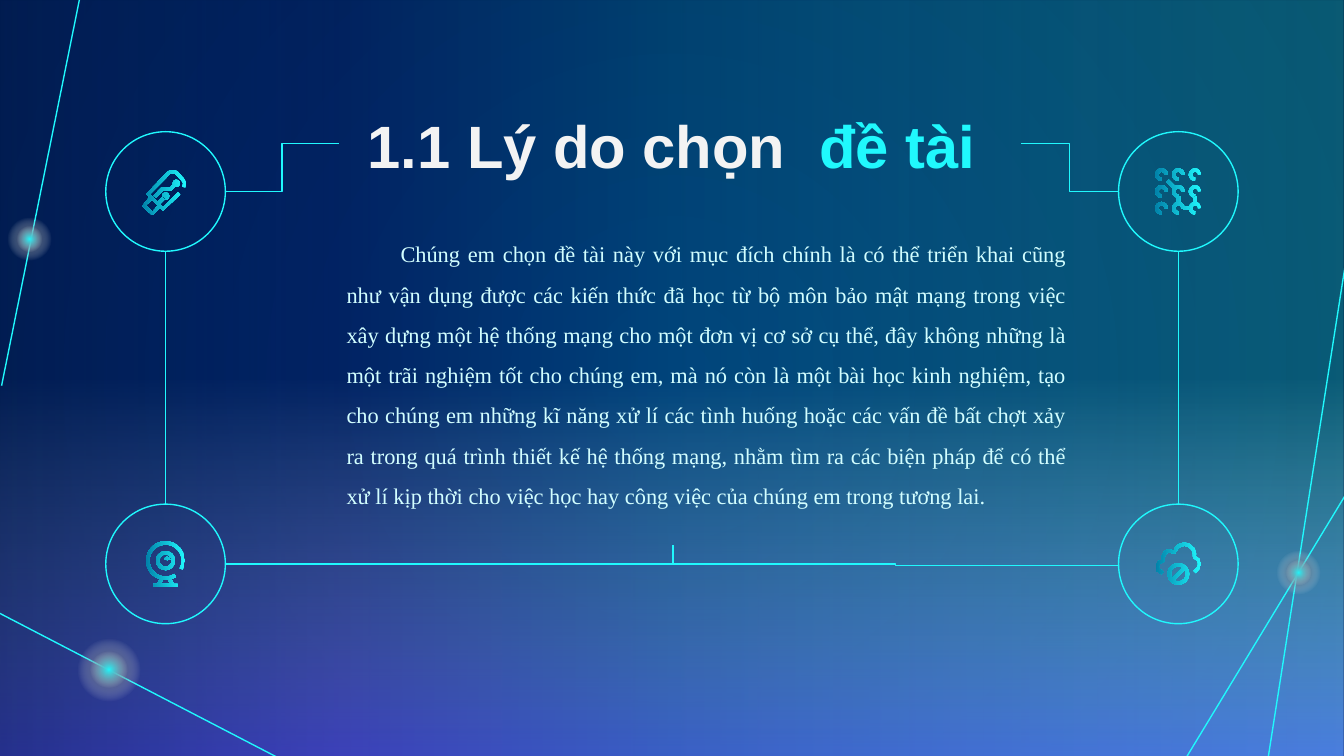
import math
from dataclasses import dataclass

import pptx
import pptx.dml.color
import pptx.enum.shapes
import pptx.enum.text
import pptx.oxml
import pptx.oxml.ns
import pptx.util
from pptx.util import Cm

RGB = pptx.dml.color.RGBColor
CYAN = RGB(0x20, 0xF8, 0xFD)
TEAL = RGB(0x01, 0x82, 0xAA)
NAVY = RGB(0x01, 0x20, 0x60)
INK = RGB(0x00, 0x18, 0x3A)
BLUE = RGB(0x02, 0x2E, 0x88)
LILAC = RGB(0x74, 0x8B, 0xFF)
VIOLET = RGB(0x76, 0x59, 0xFF)
WHITE = RGB(0xF3, 0xF3, 0xF3)
PALE = RGB(0xD2, 0xFE, 0xFF)

FORM = pptx.enum.shapes.MSO_SHAPE
LINK = pptx.enum.shapes.MSO_CONNECTOR
ALIGN = pptx.enum.text.PP_ALIGN
WIDE, HIGH = 25.4, 14.29
LEFT, RIGHT, TOP, LOW = 3.13, 22.27, 3.62, 10.66
DISC = 1.13
UNIT = 0.0254  # icon grid step in cm
STROKE = 2.5  # icon stroke in grid steps
Points = list[tuple[float, float]]


@dataclass
class Stop:
    pos: int
    color: RGB
    alpha: int = 100


@dataclass
class Wire:
    start: tuple[float, float]
    end: tuple[float, float]
    kind: LINK = LINK.STRAIGHT
    preset: str = ""


@dataclass
class Glow:
    x: float
    y: float
    radius: float


@dataclass
class Icon:
    x: float
    y: float
    strokes: list[Points]


def arc(x: float, y: float, radius: float, first: int = 0, last: int = 360) -> Points:
    """Points along an arc, in degrees clockwise from the right."""
    turns = [math.radians(first + (last - first) * i / 24) for i in range(25)]
    return [(x + radius * math.cos(t), y + radius * math.sin(t)) for t in turns]


CLOUD = [
    [(-11.8, 6.6), (-15, 4.5), (-15.7, 2), (-14.5, -1), (-11.5, -2.3),
     (-11.3, -5.5), (-9.5, -8.8), (-7, -9.7), (-3, -8.8), (-1.5, -11.5),
     (1, -13.8), (4.5, -14.7), (8, -13.7), (11, -11), (12, -7.5), (12, -5),
     (15, -3), (15.8, 0), (15, 3), (12, 6)],
    arc(0, 7.5, 6.8), [(-4, 11.5), (4, 3.5)],
]
CAMERA = [
    arc(0, -2.5, 13.2, 57, 388), arc(0, -2.5, 5.8), arc(1.2, -3, 1, 180, 360),
    [(-9, 16), (9, 16)], [(-2.8, 11), (-5, 15)], [(2.8, 11), (5, 15)],
]
DRIVE = [
    [(13.5, -3.2), (14.3, -6), (13, -8.5), (8, -14), (5.5, -15), (2.5, -14),
     (-13, 2), (-2, 13), (10, 1.5)],
    [(-11, 5), (-16, 10.5), (-10, 16.5), (-4.5, 11)],
    [(-8, 4), (-2.5, -2), (4, -2), (6, -4)], arc(8, -6, 1.4),
    [(-5, 8.5), (-1, 4.5)], arc(0, 3.5, 1.4),
]
LOCK = [arc(x, y, 3.4, 90, 360) for y in (-12.5, 0, 12.5) for x in (-12.5, 0, 12.5)]
LOCK += [
    [(-8, -8), (-3, -3)], [(0, 3.5), (0, 8.5)],
    [(12.5, 3.5), (12.5, 8.5)], [(4, 12.5), (8.5, 12.5)],
]

RAYS = [
    Wire((5.31, 14.35), (-0.03, 11.58)),
    Wire((22.43, 14.3), (25.48, 9.27)),
    Wire((23.95, 14.43), (25.5, 4.52)),
    Wire((1.55, -0.25), (0.03, 7.29)),
]
GLOWS = [Glow(24.54, 10.82, 0.58), Glow(2.06, 12.66, 0.84), Glow(0.56, 4.52, 0.58)]
WIRES = [
    Wire((LEFT + DISC, TOP), (6.4, 2.71), LINK.ELBOW),
    Wire((RIGHT - DISC, TOP), (19.3, 2.71), LINK.ELBOW),
    Wire((LEFT + DISC, LOW), (12.72, 10.31), LINK.ELBOW, "bentConnector2"),
    Wire((RIGHT - DISC, 10.69), (12.7, LOW), LINK.ELBOW),
] + [Wire((x, TOP + DISC), (x, LOW - DISC)) for x in (LEFT, RIGHT)]
ICONS = [
    Icon(LEFT, TOP, DRIVE), Icon(RIGHT, TOP, LOCK),
    Icon(LEFT, LOW, CAMERA), Icon(RIGHT, LOW, CLOUD),
]
BODY = (
    "Chúng em chọn đề tài này với mục đích chính là có thể triển khai cũng như vận "
    "dụng được các kiến thức đã học từ bộ môn bảo mật mạng trong việc xây dựng một "
    "hệ thống mạng cho một đơn vị cơ sở cụ thể, đây không những là một trãi nghiệm "
    "tốt cho chúng em, mà nó còn là một bài học kinh nghiệm, tạo cho chúng em những "
    "kĩ năng xử lí các tình huống hoặc các vấn đề bất chợt xảy ra trong quá trình "
    "thiết kế hệ thống mạng, nhằm tìm ra các biện pháp để có thể xử lí kịp thời cho "
    "việc học hay công việc của chúng em trong tương lai."
)


def blend(owner, stops: list[Stop], angle: int | None = None) -> None:
    """Swap the solid fill under owner for a gradient, radial without an angle."""
    marks = "".join(
        f'<a:gs pos="{s.pos * 1000}"><a:srgbClr val="{s.color}">'
        f'<a:alpha val="{s.alpha * 1000}"/></a:srgbClr></a:gs>' for s in stops)
    if angle is None:
        course = ('<a:path path="circle"><a:fillToRect l="50000" t="50000" '
                  'r="50000" b="50000"/></a:path>')
    else:
        course = f'<a:lin ang="{angle * 60000}" scaled="0"/>'
    fill = pptx.oxml.parse_xml(
        f'<a:gradFill {pptx.oxml.ns.nsdecls("a")} rotWithShape="1">'
        f"<a:gsLst>{marks}</a:gsLst>{course}</a:gradFill>")
    solid = owner.find(pptx.oxml.ns.qn("a:solidFill"))
    owner.replace(solid, fill)


def paint(shape, stops: list[Stop], angle: int | None = None) -> None:
    shape.shadow.inherit = False
    shape.line.fill.background()
    shape.fill.solid()
    blend(shape.element.spPr, stops, angle)


def ring(slide, x: float, y: float, radius: float):
    return slide.shapes.add_shape(
        FORM.OVAL, Cm(x - radius), Cm(y - radius), Cm(2 * radius), Cm(2 * radius))


def draw_wire(slide, wire: Wire) -> None:
    link = slide.shapes.add_connector(wire.kind, *map(Cm, wire.start + wire.end))
    link.line.color.rgb = CYAN
    link.line.width = pptx.util.Pt(0.75)
    props = link.element.spPr
    props.append(pptx.oxml.parse_xml(f'<a:effectLst {pptx.oxml.ns.nsdecls("a")}/>'))
    if wire.preset:
        props.find(pptx.oxml.ns.qn("a:prstGeom")).set("prst", wire.preset)


def draw_glow(slide, glow: Glow) -> None:
    for color, scale in ((INK, 1), (CYAN, 0.59)):
        halo = ring(slide, glow.x, glow.y, glow.radius * scale)
        paint(halo, [Stop(0, color), Stop(50, WHITE, 0), Stop(100, WHITE, 0)])


def draw_disc(slide, x: float, y: float) -> None:
    disc = ring(slide, x, y, DISC)
    disc.shadow.inherit = False
    disc.fill.background()
    disc.line.color.rgb = CYAN
    disc.line.width = pptx.util.Pt(0.75)


def ribbon(points: Points) -> Points:
    """Outline of a stroke that follows the points."""
    sides = ([], [])
    for i, (x, y) in enumerate(points):
        back, ahead = points[max(i - 1, 0)], points[min(i + 1, len(points) - 1)]
        dx, dy = ahead[0] - back[0], ahead[1] - back[1]
        size = math.hypot(dx, dy) * 2 / STROKE
        sides[0].append((x - dy / size, y + dx / size))
        sides[1].append((x + dy / size, y - dx / size))
    return sides[0] + sides[1][::-1]


def draw_icon(slide, icon: Icon) -> None:
    pen = None
    for stroke in icon.strokes:
        spots = [(Cm(icon.x + x * UNIT), Cm(icon.y + y * UNIT)) for x, y in ribbon(stroke)]
        if pen is None:
            pen = slide.shapes.build_freeform(*spots[0])
        else:
            pen.move_to(*spots[0])
        pen.add_line_segments(spots[1:], close=True)
    paint(pen.convert_to_shape(), [Stop(0, CYAN), Stop(100, TEAL)], 180)


def add_box(slide, x: float, y: float, wide: float, high: float):
    frame = slide.shapes.add_textbox(Cm(x), Cm(y), Cm(wide), Cm(high)).text_frame
    frame.word_wrap = True
    frame.margin_left = frame.margin_right = Cm(0.25)
    frame.margin_top = frame.margin_bottom = Cm(0.25)
    return frame


def style(run, name: str, size: int, color: RGB, bold: bool = False) -> None:
    run.font.name, run.font.size, run.font.bold = name, pptx.util.Pt(size), bold
    run.font.color.rgb = color


def draw_text(slide) -> None:
    title = add_box(slide, 6.4, 1.8, 12.9, 1.8).paragraphs[0]
    title.alignment = ALIGN.CENTER
    for words, color in (("1.1 Lý do chọn  ", WHITE), ("đề tài ", CYAN)):
        run = title.add_run()
        run.text = words
        style(run, "Arial", 32, color, True)

    body = add_box(slide, 5.03, 4.04, 15.39, 6.25).paragraphs[0]
    body.text = BODY
    body.alignment = ALIGN.JUSTIFY
    body.line_spacing = 1.5
    props = body._p.get_or_add_pPr()
    props.set("marL", str(Cm(1.27)))
    props.set("indent", str(Cm(1.02)))
    style(body.runs[0], "Times New Roman", 12, PALE)


def draw_back(slide) -> None:
    slide.background.fill.solid()
    blend(slide.element.find(".//" + pptx.oxml.ns.qn("p:bgPr")), [Stop(0, NAVY), Stop(100, INK)])
    rise = [Stop(0, LILAC, 0), Stop(50, WHITE, 0), Stop(100, VIOLET, 77)]
    sweep = [Stop(0, CYAN, 29), Stop(50, TEAL, 36), Stop(75, BLUE, 35), Stop(100, NAVY, 60)]
    for stops, angle in ((rise, 90), (sweep, 180)):
        veil = slide.shapes.add_shape(FORM.RECTANGLE, 0, 0, Cm(WIDE), Cm(HIGH))
        paint(veil, stops, angle)


def main() -> None:
    deck = pptx.Presentation()
    deck.slide_width, deck.slide_height = Cm(WIDE), Cm(HIGH)
    slide = deck.slides.add_slide(deck.slide_layouts[6])
    draw_back(slide)
    for ray in RAYS:
        draw_wire(slide, ray)
    for glow in GLOWS:
        draw_glow(slide, glow)
    draw_text(slide)
    for icon in ICONS:
        draw_disc(slide, icon.x, icon.y)
    for wire in WIRES:
        draw_wire(slide, wire)
    for icon in ICONS:
        draw_icon(slide, icon)
    deck.save("out.pptx")


if __name__ == "__main__":
    main()
